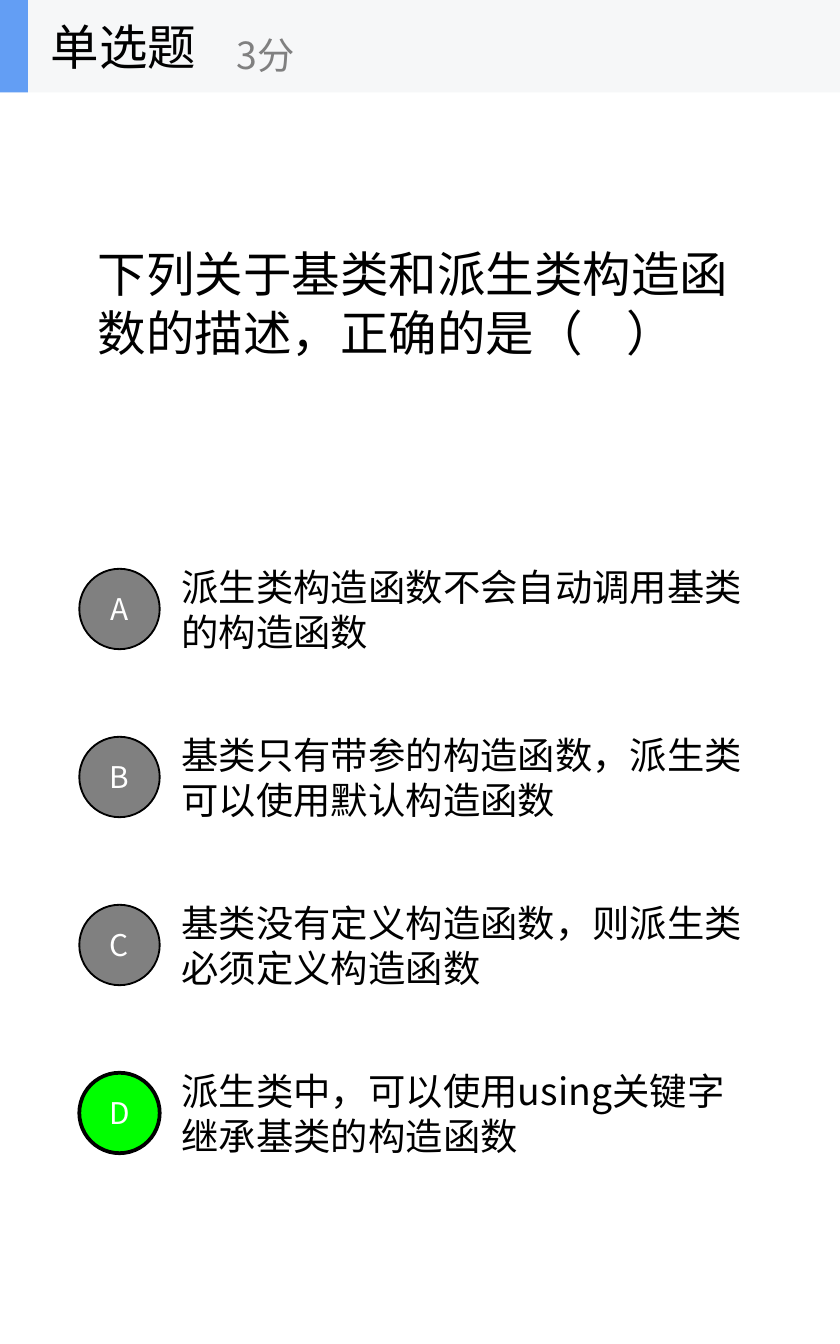
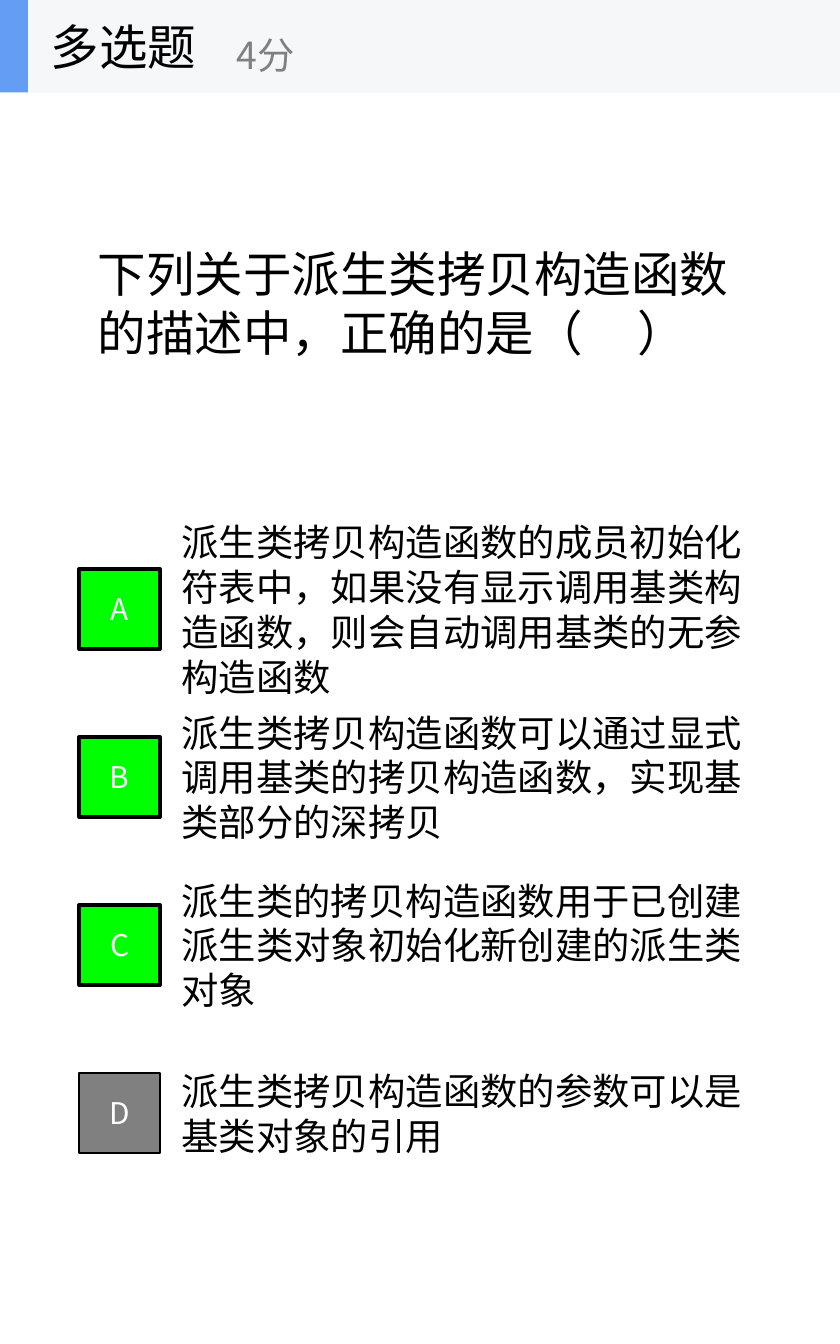
from dataclasses import dataclass

from lxml.etree import SubElement
from pptx import Presentation
from pptx.dml.color import RGBColor
from pptx.enum.shapes import MSO_SHAPE
from pptx.enum.text import MSO_ANCHOR, MSO_AUTO_SIZE, PP_ALIGN
from pptx.oxml.ns import qn
from pptx.shapes.autoshape import Shape
from pptx.slide import Slide
from pptx.util import Cm, Pt

FONT = "Noto Sans CJK SC"
BLACK, WHITE, GRAY = "000000", "FFFFFF", "808080"
GREEN, BLUE, PALE = "00FF00", "639EF4", "F6F7F8"

WIDTH, HEIGHT = 15.88, 25.4
BAND = 1.75
FIRST, STEP = 10.32, HEIGHT / 8
ROW, BADGE = 2.38, 1.52


@dataclass
class Box:
    left: float
    top: float
    width: float
    height: float

    def lengths(self) -> list[Cm]:
        return [Cm(n) for n in (self.left, self.top, self.width, self.height)]


@dataclass
class Quiz:
    kind: str
    score: str
    question: str
    options: list[str]
    answers: str
    badge: MSO_SHAPE


def color(value: str) -> RGBColor:
    return RGBColor.from_string(value)


def write(shape: Shape, text: str, size: int, ink: str = BLACK,
          align: PP_ALIGN = PP_ALIGN.LEFT) -> None:
    frame = shape.text_frame
    frame.text = text
    frame.word_wrap = True
    frame.auto_size = MSO_AUTO_SIZE.NONE
    frame.vertical_anchor = MSO_ANCHOR.MIDDLE
    line = frame.paragraphs[0]
    line.alignment = align
    line.font.size = Pt(size)
    line.font.name = FONT
    line.font.color.rgb = color(ink)
    props = line._p.pPr.find(qn("a:defRPr"))
    SubElement(props, qn("a:ea"), typeface=FONT)


def add_label(shapes, box: Box, text: str, size: int, ink: str = BLACK) -> None:
    write(shapes.add_textbox(*box.lengths()), text, size, ink)


def add_block(shapes, kind: MSO_SHAPE, box: Box, fill: str, border: int = 0) -> Shape:
    shape = shapes.add_shape(kind, *box.lengths())
    shape.shadow.inherit = False
    shape.fill.solid()
    shape.fill.fore_color.rgb = color(fill)
    if border:
        shape.line.color.rgb = color(BLACK)
        shape.line.width = Pt(border)
    else:
        shape.line.fill.background()
    return shape


def add_option(slide: Slide, row: int, text: str, quiz: Quiz) -> None:
    letter = "ABCD"[row]
    top = FIRST + row * STEP
    right = letter in quiz.answers
    add_label(slide.shapes, Box(3.18, top, 11.11, ROW), text, 20)
    spot = Box(1.5, top + (ROW - BADGE) / 2, BADGE, BADGE)
    badge = add_block(slide.shapes, quiz.badge, spot,
                      GREEN if right else GRAY, 2 if right else 1)
    write(badge, letter, 16, WHITE, PP_ALIGN.CENTER)


def add_header(slide: Slide, quiz: Quiz) -> None:
    shapes = slide.shapes.add_group_shape().shapes
    add_block(shapes, MSO_SHAPE.RECTANGLE, Box(0, 0, WIDTH, BAND), PALE)
    add_block(shapes, MSO_SHAPE.RECTANGLE, Box(0, 0, 0.53, BAND), BLUE)
    add_label(shapes, Box(0.71, 0, 5.28, BAND), quiz.kind, 26)
    add_label(shapes, Box(4.23, 0.32, 6.35, 1.43), quiz.score, 20, GRAY)


def add_quiz(deck, quiz: Quiz) -> None:
    slide = deck.slides.add_slide(deck.slide_layouts[5])
    title = slide.shapes.title
    title.left, title.top, title.width, title.height = Box(1.59, BAND, 12.7, 7.94).lengths()
    write(title, quiz.question, 26)
    for row, text in enumerate(quiz.options):
        add_option(slide, row, text, quiz)
    add_header(slide, quiz)


QUIZZES = [
    Quiz("单选题", "3分", "下列关于基类和派生类构造函数的描述，正确的是（    ）", [
        "派生类构造函数不会自动调用基类的构造函数",
        "基类只有带参的构造函数，派生类可以使用默认构造函数",
        "基类没有定义构造函数，则派生类必须定义构造函数",
        "派生类中，可以使用using关键字继承基类的构造函数",
    ], "D", MSO_SHAPE.OVAL),
    Quiz("多选题", "4分", "下列关于派生类拷贝构造函数的描述中，正确的是（     ）", [
        "派生类拷贝构造函数的成员初始化符表中，如果没有显示调用基类构造函数，则会自动调用基类的无参构造函数",
        "派生类拷贝构造函数可以通过显式调用基类的拷贝构造函数，实现基类部分的深拷贝",
        "派生类的拷贝构造函数用于已创建派生类对象初始化新创建的派生类对象",
        "派生类拷贝构造函数的参数可以是基类对象的引用",
    ], "ABC", MSO_SHAPE.RECTANGLE),
]


def main() -> None:
    deck = Presentation()
    deck.slide_width, deck.slide_height = Cm(WIDTH), Cm(HEIGHT)
    for quiz in QUIZZES:
        add_quiz(deck, quiz)
    deck.save("out.pptx")


if __name__ == "__main__":
    main()
